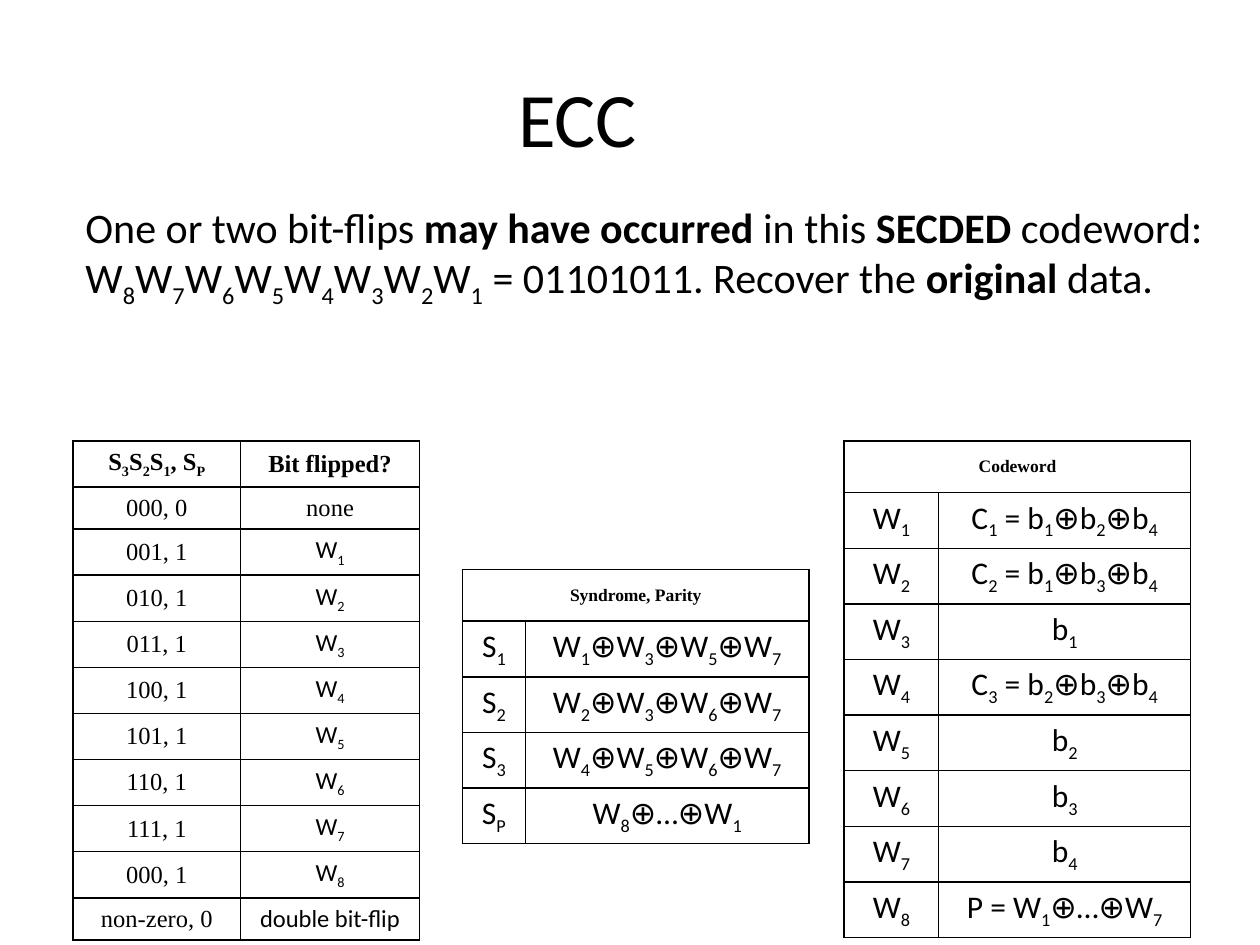
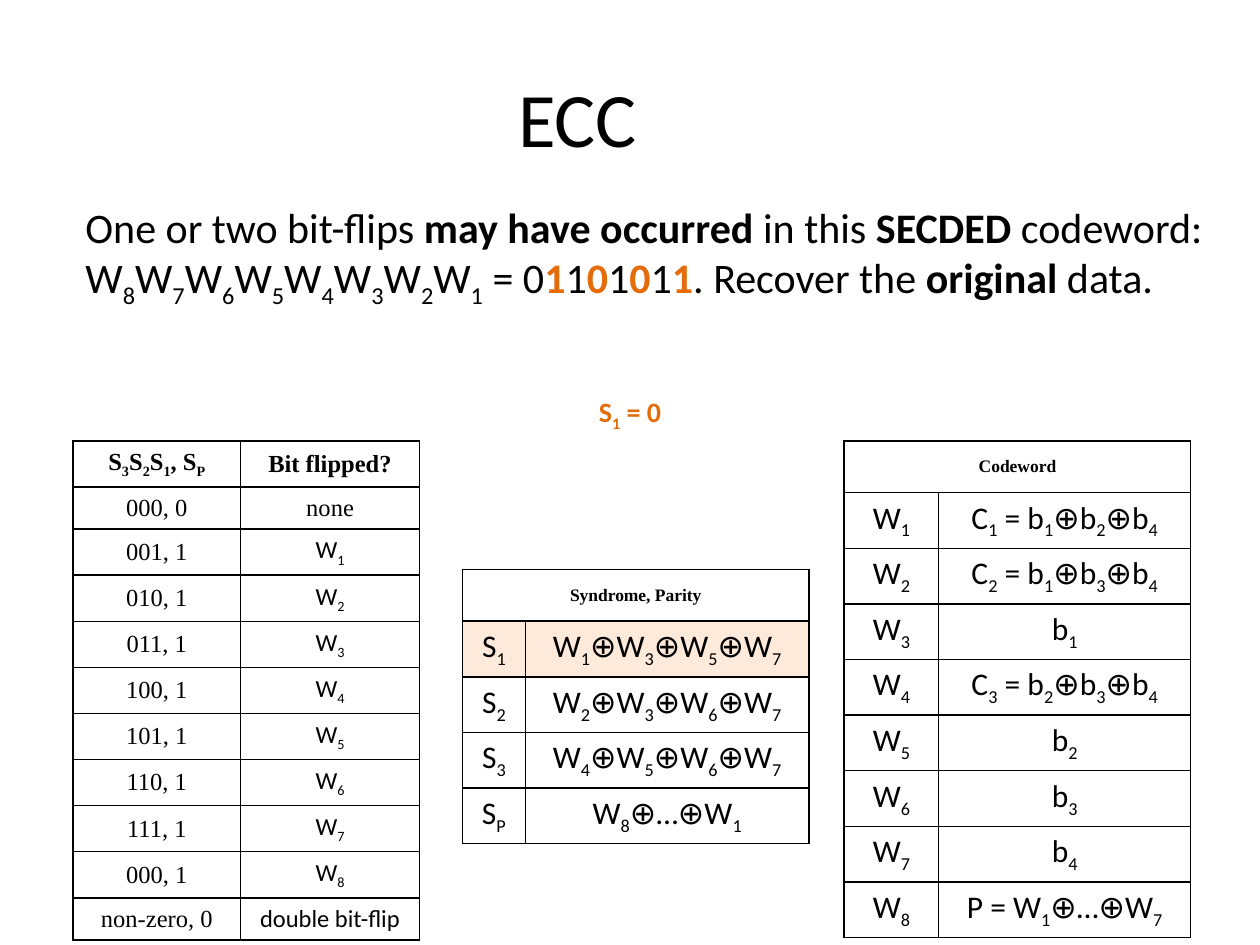
import itertools
from dataclasses import dataclass, replace

import pptx
import pptx.dml.color
import pptx.enum.text
import pptx.oxml
import pptx.oxml.ns
import pptx.presentation
import pptx.slide
import pptx.table
import pptx.text.text
import pptx.util
from pptx.util import Inches

BLACK = pptx.dml.color.RGBColor(0x00, 0x00, 0x00)
WHITE = pptx.dml.color.RGBColor(0xFF, 0xFF, 0xFF)
ORANGE = pptx.dml.color.RGBColor(0xE4, 0x6C, 0x0A)
LIGHT_ORANGE = pptx.dml.color.RGBColor(0xFD, 0xEA, 0xDA)
SANS = "Calibri"
SERIF = "Times New Roman"
CENTER = pptx.enum.text.PP_ALIGN.CENTER
LEFT = pptx.enum.text.PP_ALIGN.LEFT
TOP = pptx.enum.text.MSO_ANCHOR.TOP
MIDDLE = pptx.enum.text.MSO_ANCHOR.MIDDLE


@dataclass(frozen=True)
class TextBox:
    left: float
    top: float
    width: float
    height: float
    markup: str
    size: int
    align: pptx.enum.text.PP_ALIGN = CENTER
    anchor: pptx.enum.text.MSO_ANCHOR = TOP


@dataclass(frozen=True)
class LookupTable:
    """Two-column table; a row with a single entry spans both columns."""
    left: float
    top: float
    column_widths: tuple[float, float]
    row_height: float
    rows: tuple[tuple[str, ...], ...]
    header_size: int
    body_size: int
    serif_rows: int = 1
    serif_columns: int = 0
    fill: pptx.dml.color.RGBColor | None = None
    highlighted_row: int | None = None


def xor(letter: str, indexes: str) -> str:
    return "⊕".join(f"{letter}_{index}" for index in indexes)


TITLE = TextBox(0.5, 0.3, 8.17, 1.25, "ECC", 44, anchor=MIDDLE)
CODEWORD_BITS = "".join(f"W_{index}" for index in range(8, 0, -1))
SYNDROME_RESULT = TextBox(4.5, 3.08, 1, 1.36, "~S_1 = 0~", 16)

FLIPPED_BITS = LookupTable(
    0.58, 3.5, (1.33, 1.42), 0.2,
    (
        ("S_3S_2S_1, S_P", "Bit flipped?"),
        ("000, 0", "none"),
        *((f"{bit % 8:03b}, 1", f"W_{bit}") for bit in range(1, 9)),
        ("non-zero, 0", "double bit-flip"),
    ),
    header_size=14, body_size=14, serif_rows=2, serif_columns=1,
)
SYNDROME = LookupTable(
    3.67, 4.52, (0.5, 2.25), 0.41,
    (
        ("Syndrome, Parity",),
        ("S_1", xor("W", "1357")),
        ("S_2", xor("W", "2367")),
        ("S_3", xor("W", "4567")),
        ("S_P", "W_8⊕…⊕W_1"),
    ),
    header_size=10, body_size=18,
)
CODEWORD_CONTENTS = (
    "C_1 = " + xor("b", "124"),
    "C_2 = " + xor("b", "134"),
    "b_1",
    "C_3 = " + xor("b", "234"),
    "b_2",
    "b_3",
    "b_4",
    "P = W_1⊕…⊕W_7",
)
CODEWORD = LookupTable(
    6.7, 3.5, (0.75, 2), 0.41,
    (
        ("Codeword",),
        *((f"W_{bit}", content) for bit, content in enumerate(CODEWORD_CONTENTS, 1)),
    ),
    header_size=10, body_size=18, fill=WHITE,
)


def question(received_word: str) -> TextBox:
    markup = (
        "One or two bit-flips *may have occurred *in this *SECDED* codeword: "
        f"{CODEWORD_BITS} = {received_word}. Recover the *original* data."
    )
    return TextBox(0.58, 1.55, 9.26, 1.87, markup, 24, align=LEFT)


def styled_characters(markup: str) -> list[tuple[str, tuple[bool, bool, bool]]]:
    """Pair each character with (bold, accent, subscript).

    * toggles bold, ~ toggles accent, _ lowers the next character.
    """
    characters = []
    bold = accent = subscript = False
    for character in markup:
        if character == "*":
            bold = not bold
        elif character == "~":
            accent = not accent
        elif character == "_":
            subscript = True
        else:
            characters.append((character, (bold, accent, subscript)))
            subscript = False
    return characters


def write_markup(paragraph: pptx.text.text._Paragraph, markup: str, size: int,
                 font_name: str = SANS, all_bold: bool = False) -> None:
    for style, group in itertools.groupby(styled_characters(markup), lambda pair: pair[1]):
        bold, accent, subscript = style
        run = paragraph.add_run()
        run.text = "".join(character for character, _ in group)
        run.font.name = font_name
        run.font.size = pptx.util.Pt(size)
        run.font.bold = all_bold or bold or accent
        run.font.color.rgb = ORANGE if accent else BLACK
        if subscript:
            run.font._element.set("baseline", "-25000")


def add_text(slide: pptx.slide.Slide, box: TextBox) -> None:
    shape = slide.shapes.add_textbox(
        Inches(box.left), Inches(box.top), Inches(box.width), Inches(box.height))
    text_frame = shape.text_frame
    text_frame.word_wrap = True
    text_frame.vertical_anchor = box.anchor
    paragraph = text_frame.paragraphs[0]
    paragraph.alignment = box.align
    write_markup(paragraph, box.markup, box.size)


def add_borders(cell: pptx.table._Cell) -> None:
    """Draw all four sides; border elements must come before the fill."""
    properties = cell._tc.get_or_add_tcPr()
    for position, side in enumerate("LRTB"):
        properties.insert(position, pptx.oxml.parse_xml(
            f'<a:ln{side} {pptx.oxml.ns.nsdecls("a")} w="{pptx.util.Pt(1)}">'
            f'<a:solidFill><a:srgbClr val="{BLACK}"/></a:solidFill></a:ln{side}>'))


def fill_cell(cell: pptx.table._Cell, color: pptx.dml.color.RGBColor | None) -> None:
    if color is None:
        cell.fill.background()
    else:
        cell.fill.solid()
        cell.fill.fore_color.rgb = color


def add_lookup_table(slide: pptx.slide.Slide, lookup: LookupTable) -> None:
    row_count = len(lookup.rows)
    table = slide.shapes.add_table(
        row_count, 2, Inches(lookup.left), Inches(lookup.top),
        Inches(sum(lookup.column_widths)), Inches(lookup.row_height * row_count)).table
    table.first_row = table.horz_banding = False
    for column, width in zip(table.columns, lookup.column_widths):
        column.width = Inches(width)
    for row_index, entries in enumerate(lookup.rows):
        is_header = row_index == 0
        size = lookup.header_size if is_header else lookup.body_size
        color = LIGHT_ORANGE if row_index == lookup.highlighted_row else lookup.fill
        cells = [table.cell(row_index, column_index) for column_index in range(2)]
        for cell in cells:
            fill_cell(cell, color)
            add_borders(cell)
        if len(entries) == 1:
            cells[0].merge(cells[1])
        for column_index, (cell, markup) in enumerate(zip(cells, entries)):
            serif = row_index < lookup.serif_rows or column_index < lookup.serif_columns
            cell.vertical_anchor = MIDDLE
            paragraph = cell.text_frame.paragraphs[0]
            paragraph.alignment = CENTER
            write_markup(paragraph, markup, size, SERIF if serif else SANS, is_header)


def add_ecc_slide(presentation: pptx.presentation.Presentation, received_word: str,
                  syndrome: LookupTable) -> pptx.slide.Slide:
    slide = presentation.slides.add_slide(presentation.slide_layouts[6])
    add_text(slide, question(received_word))
    for lookup in (FLIPPED_BITS, syndrome, CODEWORD):
        add_lookup_table(slide, lookup)
    add_text(slide, TITLE)
    return slide


def main() -> None:
    presentation = pptx.Presentation()
    presentation.slide_width = Inches(10)
    presentation.slide_height = Inches(7.5)
    add_ecc_slide(presentation, "01101011", SYNDROME)
    first_syndrome_slide = add_ecc_slide(
        presentation, "0~1~1~0~1~0~1~1~", replace(SYNDROME, highlighted_row=1))
    add_text(first_syndrome_slide, SYNDROME_RESULT)
    presentation.save("out.pptx")


if __name__ == "__main__":
    main()
